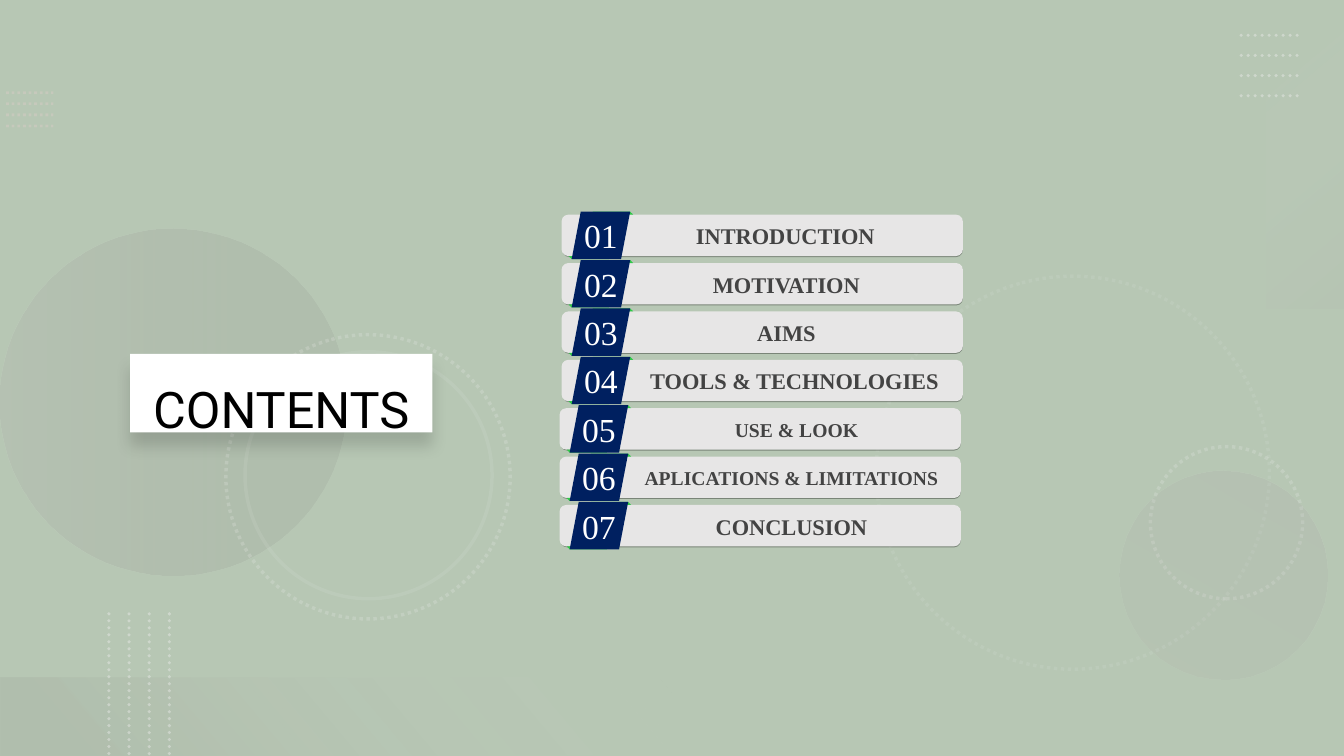
from lxml import etree
from pptx import Presentation
from pptx.dml.color import RGBColor
from pptx.enum.dml import MSO_LINE
from pptx.enum.shapes import MSO_CONNECTOR, MSO_SHAPE
from pptx.enum.text import MSO_ANCHOR, PP_ALIGN
from pptx.oxml import parse_xml
from pptx.oxml.ns import nsdecls, qn
from pptx.util import Inches, Pt

SERIF = "Times New Roman"
PALE = "F1F0F0"
# label, text size, left of the label box from the bar's left, label width
ENTRIES = [
    ("INTRODUCTION", 16, 1.14, 2.16),
    ("MOTIVATION", 16, 1.15, 2.16),
    ("AIMS", 16, 1.15, 2.16),
    ("TOOLS & TECHNOLOGIES", 16, 0.52, 3.58),
    ("USE & LOOK", 14, 0.74, 3.22),
    ("APLICATIONS & LIMITATIONS", 14, 0.4, 3.8),
    ("CONCLUSION", 16, 0.4, 3.8),
]


def paint(color_format, value):
    """Set a colour from a hex string."""
    color_format.rgb = RGBColor.from_string(value)


def set_alpha(shape, percent):
    """Make the last colour set on a shape partly transparent."""
    color = list(shape._element.iter(qn("a:srgbClr")))[-1]
    etree.SubElement(color, qn("a:alpha")).set("val", str(percent * 1000))


def finish(shape, fill=None, alpha=100):
    """Give a shape a plain fill or none, without line or shadow."""
    shape.shadow.inherit = False
    shape.line.fill.background()
    if fill is None:
        shape.fill.background()
    else:
        shape.fill.solid()
        paint(shape.fill.fore_color, fill)
        if alpha < 100:
            set_alpha(shape, alpha)
    return shape


def add_preset(slide, kind, box, fill=None, alpha=100, rotation=0):
    """Add a preset shape in a (left, top, width, height) box."""
    shape = slide.shapes.add_shape(kind, *map(Inches, box))
    shape.rotation = rotation
    return finish(shape, fill, alpha)


def add_polygon(slide, left, top, points, fill):
    """Add a closed outline whose points are relative to left and top."""
    placed = [(Inches(left + x), Inches(top + y)) for x, y in points]
    builder = slide.shapes.build_freeform(*placed[0])
    builder.add_line_segments(placed[1:], close=True)
    return finish(builder.convert_to_shape(), fill)


def stroke(shape, color, width, alpha, dotted=True):
    """Draw a translucent outline, dotted by default."""
    shape.line.width = Pt(width)
    shape.line.fill.solid()
    paint(shape.line.color, color)
    set_alpha(shape, alpha)
    if dotted:
        shape.line.dash_style = MSO_LINE.ROUND_DOT


def set_gradient(shape, stops, angle):
    """Replace an empty fill by (position, colour, alpha) gradient stops."""
    marks = "".join(
        f'<a:gs pos="{pos * 1000}"><a:srgbClr val="{color}">'
        f'<a:alpha val="{alpha * 1000}"/></a:srgbClr></a:gs>'
        for pos, color, alpha in stops)
    gradient = parse_xml(
        f'<a:gradFill {nsdecls("a")} rotWithShape="0"><a:gsLst>{marks}</a:gsLst>'
        f'<a:lin ang="{angle * 60000}" scaled="0"/></a:gradFill>')
    properties = shape._element.spPr
    properties.replace(properties.find(qn("a:noFill")), gradient)


def write(shape, text, size, font, color, bold=False, inset=0.1, spacing=None):
    """Write one centred line of text in a shape."""
    frame = shape.text_frame
    frame.word_wrap = True
    frame.vertical_anchor = MSO_ANCHOR.MIDDLE
    frame.margin_left = frame.margin_right = Inches(0.1)
    frame.margin_top = frame.margin_bottom = Inches(inset)
    paragraph = frame.paragraphs[0]
    paragraph.alignment = PP_ALIGN.CENTER
    paragraph.line_spacing = spacing
    run = paragraph.add_run()
    run.text = text
    run.font.size, run.font.name, run.font.bold = Pt(size), font, bold
    paint(run.font.color, color)


def dotted_lines(slide, box, color, width, alpha, vertical=False, cap="rnd"):
    """Spread four parallel dotted lines evenly over a box."""
    left, top, wide, high = box
    for i in range(4):
        if vertical:
            x = left + wide * i / 3
            ends = (x, top, x, top + high)
        else:
            y = top + high * i / 3
            ends = (left, y, left + wide, y)
        line = slide.shapes.add_connector(MSO_CONNECTOR.STRAIGHT, *map(Inches, ends))
        stroke(line, color, width, alpha)
        properties = line._element.spPr
        properties.find(qn("a:ln")).set("cap", cap)
        etree.SubElement(properties, qn("a:effectLst"))


def ring(slide, box, alpha, rotation, dotted=True):
    """Add an unfilled circle with a pale outline."""
    circle = add_preset(slide, MSO_SHAPE.OVAL, box, rotation=rotation)
    stroke(circle, PALE, 2.5, alpha, dotted)


def gradient_shape(slide, kind, box, rotation, stops, angle):
    """Add a shape with a translucent gradient."""
    set_gradient(add_preset(slide, kind, box, rotation=rotation), stops, angle)


def backdrop(slide, box):
    """Fill the box with the green ground and its pale decorations."""
    left, top, wide, high = box
    ground = slide.background.fill
    ground.solid()
    paint(ground.fore_color, "BBAA9C")
    add_preset(slide, MSO_SHAPE.RECTANGLE, box, "668A60")
    add_preset(slide, MSO_SHAPE.RECTANGLE, box, "FFFFFF", 53)
    right, bottom = left + wide, top + high
    dotted_lines(slide, (left + 0.06, top + 0.92, 0.47, 0.33), "D6CCC4", 2, 50, cap="flat")
    ring(slide, (right - 4.64, bottom - 4.76, 3.9, 3.9), 10, 75)
    ring(slide, (right - 1.92, bottom - 3.07, 1.51, 1.51), 20, 270)
    gradient_shape(slide, MSO_SHAPE.OVAL, (left, top + 2.27, 3.44, 3.44), 270,
                   [(0, "AFABAB", 20), (100, "767171", 10)], 0)
    gradient_shape(slide, MSO_SHAPE.OVAL, (right - 2.23, bottom - 2.83, 2.07, 2.07), 210,
                   [(0, "AFABAB", 10), (100, "AFABAB", 20)], 300)
    ring(slide, (left + 2.24, top + 3.32, 2.82, 2.82), 20, 75)
    ring(slide, (left + 2.43, top + 3.49, 2.45, 2.45), 10, 75, dotted=False)
    gradient_shape(slide, MSO_SHAPE.RECTANGLE, (right - 1.91, top + 1.14, 3.06, 0.78), 270,
                   [(0, "F5F5F5", 0), (100, "AFABAB", 10)], 50)
    dotted_lines(slide, (right - 1.02, top + 0.35, 0.6, 0.6), PALE, 2.5, 40)
    gradient_shape(slide, MSO_SHAPE.RECTANGLE, (left, bottom - 0.78, 6.66, 0.78), 180,
                   [(10, "767171", 10), (100, PALE, 0)], 320)
    dotted_lines(slide, (left + 1.08, bottom - 1.41, 0.6, 1.41), PALE, 2.5, 40, vertical=True)


def title_card(slide, box):
    """Add the white title card with its soft shadow."""
    card = add_preset(slide, MSO_SHAPE.RECTANGLE, box, "FFFFFF")
    effects = card._element.spPr.find(qn("a:effectLst"))
    effects.append(parse_xml(
        f'<a:outerShdw {nsdecls("a")} blurRad="{Pt(11)}" dist="{Pt(10)}" dir="5400000" '
        'algn="t" rotWithShape="0"><a:srgbClr val="000000"><a:alpha val="15000"/>'
        '</a:srgbClr></a:outerShdw>'))
    write(card, "CONTENTS", 36, "Roboto", "000000", inset=0.05, spacing=1.5)


def contents_row(slide, box, number, label, size, text_left, text_width):
    """Add one bar with its slanted number tab and label."""
    left, top, wide, high = box
    for shift, fill, alpha in ((0.01, "000000", 33), (0, "E7E6E6", 100)):
        bar = add_preset(slide, MSO_SHAPE.ROUNDED_RECTANGLE,
                         (left + shift, top + shift, wide - shift, high), fill, alpha)
        bar.adjustments[0] = 0.16
    add_polygon(slide, left + 0.07, top + high,
                [(0, 0), (0.03, 0.03), (0.4, 0.03), (0.4, 0)], "2FC948")
    add_polygon(slide, left + 0.3, top - 0.03,
                [(0.01, 0), (0, 0.03), (0.41, 0.03), (0.38, 0)], "2FC948")
    tab = add_polygon(slide, left + 0.1, top - 0.03,
                      [(0.09, 0), (0, 0.47), (0.49, 0.47), (0.58, 0)], "002060")
    write(tab, f"{number:02d}", 24, SERIF, "FFFFFF")
    label_box = slide.shapes.add_textbox(
        *map(Inches, (left + text_left, top + 0.1, text_width, 0.22)))
    write(label_box, label, size, SERIF, "434343", bold=True)


def contents_list(slide, box):
    """Stack the contents rows evenly in the box, the last three a touch left."""
    left, top, wide, high = box
    bar_height = 0.41
    pitch = (high - bar_height) / (len(ENTRIES) - 1)
    for i, entry in enumerate(ENTRIES):
        row_left = left if i < 4 else left - 0.02
        contents_row(slide, (row_left, top + i * pitch, wide, bar_height), i + 1, *entry)


def main():
    """Build the contents slide and save it."""
    deck = Presentation()
    deck.slide_width, deck.slide_height = Inches(13.33), Inches(7.5)
    slide = deck.slides.add_slide(deck.slide_layouts[6])
    backdrop(slide, (0, 0, 13.33, 7.5))
    title_card(slide, (1.29, 3.51, 3, 0.78))
    contents_list(slide, (5.57, 2.13, 3.98, 3.29))
    deck.save("out.pptx")


main()
